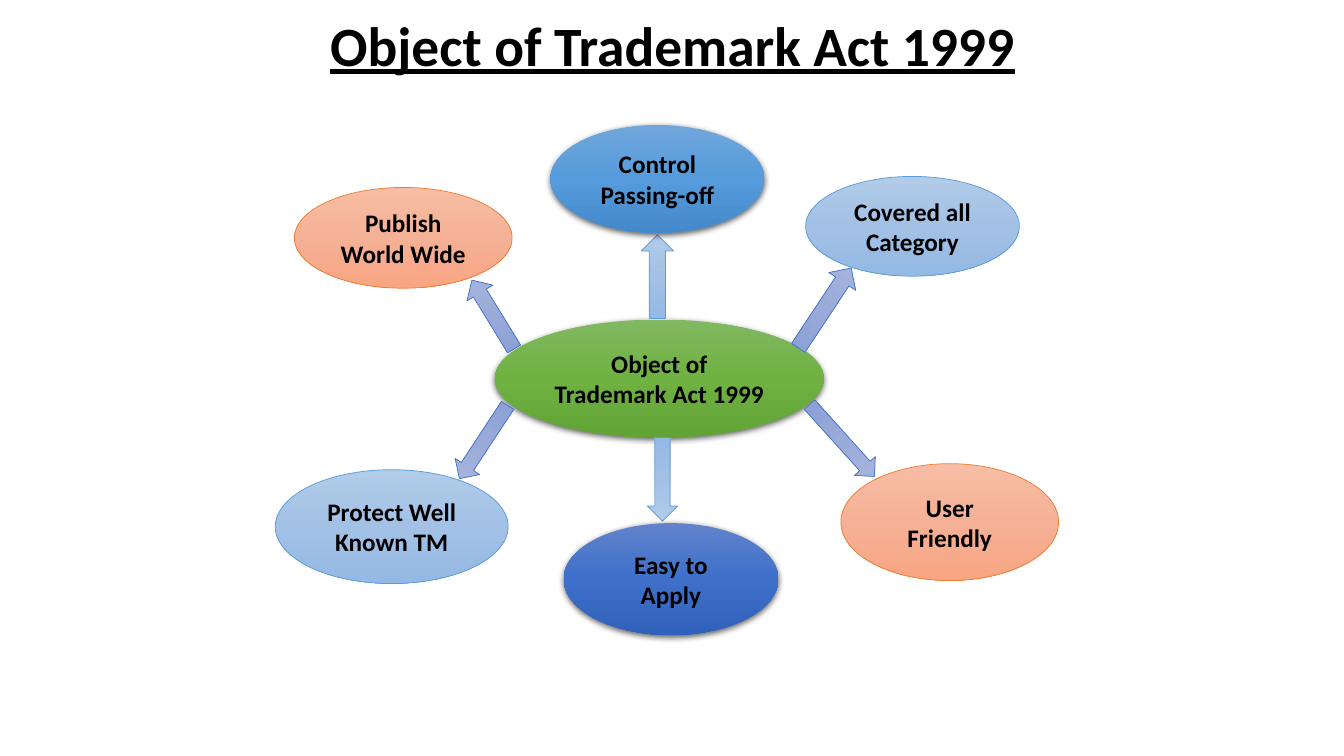
"""Build the slide on the objects of the Trademark Act 1999."""
from copy import deepcopy

from lxml.etree import SubElement
from pptx import Presentation
from pptx.dml.color import RGBColor
from pptx.enum.shapes import MSO_SHAPE
from pptx.enum.text import MSO_ANCHOR, MSO_AUTO_SIZE, PP_ALIGN
from pptx.oxml.ns import qn
from pptx.util import Inches, Pt

BLACK = RGBColor(0x00, 0x00, 0x00)
SKY_LINE = RGBColor(0x5B, 0x9B, 0xD5)
INDIGO_LINE = RGBColor(0x44, 0x72, 0xC4)
ORANGE_LINE = RGBColor(0xED, 0x7D, 0x31)

GREEN = (RGBColor(0x81, 0xB8, 0x61), RGBColor(0x6F, 0xB2, 0x42), RGBColor(0x62, 0xA3, 0x36))
BLUE = (RGBColor(0x71, 0xA6, 0xDB), RGBColor(0x55, 0x9B, 0xDB), RGBColor(0x44, 0x8A, 0xCA))
ROYAL = (RGBColor(0x61, 0x83, 0xCB), RGBColor(0x3E, 0x70, 0xCA), RGBColor(0x30, 0x62, 0xBB))
SKY = (RGBColor(0xB1, 0xCB, 0xE9), RGBColor(0xA3, 0xC1, 0xE5), RGBColor(0x93, 0xB9, 0xE4))
INDIGO = (RGBColor(0xA8, 0xB7, 0xDF), RGBColor(0x9A, 0xAB, 0xD9), RGBColor(0x88, 0x9E, 0xD7))
ORANGE = (RGBColor(0xF7, 0xBD, 0xA5), RGBColor(0xF5, 0xB1, 0x96), RGBColor(0xF8, 0xA5, 0x82))

FONT = "Calibri"

ARROWS = [
    ((6.36, 2.33, 0.32, 0.83), 0, SKY, SKY_LINE),
    ((8.21, 3.89, 0.28, 0.96), 138, INDIGO, INDIGO_LINE),
    ((6.42, 4.34, 0.3, 0.83), 180, SKY, SKY_LINE),
    ((4.74, 2.72, 0.3, 0.8), 328.5, INDIGO, INDIGO_LINE),
    ((4.65, 3.95, 0.29, 0.87), 213.3, INDIGO, INDIGO_LINE),
    ((8.02, 2.58, 0.32, 0.95), 33.5, INDIGO, INDIGO_LINE),
]

CENTRE = ("Object of Trademark Act 1999", (4.91, 3.17, 3.26, 1.17), GREEN, None)
OBJECTS = [
    ("Control Passing-off", (5.46, 1.24, 2.12, 1.07), BLUE, None),
    ("Covered all Category", (7.99, 1.75, 2.12, 0.99), SKY, SKY_LINE),
    ("Publish\nWorld Wide", (2.92, 1.86, 2.16, 1), ORANGE, ORANGE_LINE),
    ("Protect Well Known TM", (2.73, 4.66, 2.31, 1.13), SKY, SKY_LINE),
    ("Easy to Apply", (5.59, 5.19, 2.13, 1.11), ROYAL, None),
    ("User Friendly", (8.34, 4.6, 2.16, 1.16), ORANGE, ORANGE_LINE),
]


def write_text(shape, text, size, underline=None):
    """Fill a shape with bold, centred black text."""
    frame = shape.text_frame
    frame.text = text
    frame.word_wrap = True
    frame.auto_size = MSO_AUTO_SIZE.NONE
    frame.vertical_anchor = MSO_ANCHOR.MIDDLE
    for paragraph in frame.paragraphs:
        paragraph.alignment = PP_ALIGN.CENTER
        for run in paragraph.runs:
            run.font.name = FONT
            run.font.size = Pt(size)
            run.font.bold = True
            run.font.underline = underline
            run.font.color.rgb = BLACK


def fill_gradient(shape, colours):
    """Fill a shape from top to bottom with three evenly spaced colours."""
    shape.fill.gradient()
    shape.fill.gradient_angle = 270
    stop_list = shape._element.spPr.find(qn("a:gradFill")).find(qn("a:gsLst"))
    stop_list.insert(1, deepcopy(stop_list[0]))
    for index, (stop, colour) in enumerate(zip(shape.fill.gradient_stops, colours)):
        stop.position = index / 2
        stop.color.rgb = colour


def add_soft_shadow(shape):
    """Put a soft black shadow just below a shape."""
    effects = shape._element.spPr.find(qn("a:effectLst"))
    shadow = SubElement(effects, qn("a:outerShdw"), blurRad=str(Pt(4.5)), dist=str(Pt(1.5)),
                        dir="5400000", algn="ctr", rotWithShape="0")
    colour = SubElement(shadow, qn("a:srgbClr"), val=str(BLACK))
    SubElement(colour, qn("a:alpha"), val="63000")


def add_gradient_shape(slide, kind, box, colours, line_colour):
    """Add a gradient shape, outlined if it has a line colour and shadowed if not."""
    shape = slide.shapes.add_shape(kind, *map(Inches, box))
    shape.shadow.inherit = False
    fill_gradient(shape, colours)
    if line_colour is None:
        shape.line.fill.background()
        add_soft_shadow(shape)
    else:
        shape.line.color.rgb = line_colour
        shape.line.width = Pt(0.5)
    return shape


def add_bubble(slide, text, box, colours, line_colour):
    """Add a labelled ellipse."""
    bubble = add_gradient_shape(slide, MSO_SHAPE.OVAL, box, colours, line_colour)
    write_text(bubble, text, 18)


def add_arrow(slide, box, rotation, colours, line_colour):
    """Add a block arrow turned clockwise from upright."""
    arrow = add_gradient_shape(slide, MSO_SHAPE.UP_ARROW, box, colours, line_colour)
    arrow.rotation = rotation


def set_title(slide, text):
    """Place and format the slide title."""
    title = slide.shapes.title
    title.left, title.top, title.width, title.height = map(Inches, (0.92, 0.16, 11.5, 0.64))
    write_text(title, text, 39.6, underline=True)
    title.text_frame.paragraphs[0].line_spacing = 0.9


def main():
    """Build and save the presentation."""
    presentation = Presentation()
    presentation.slide_width = Inches(13.33)
    presentation.slide_height = Inches(7.5)
    slide = presentation.slides.add_slide(presentation.slide_layouts[5])
    set_title(slide, "Object of Trademark Act 1999")
    add_bubble(slide, *CENTRE)
    for arrow in ARROWS:
        add_arrow(slide, *arrow)
    for bubble in OBJECTS:
        add_bubble(slide, *bubble)
    presentation.save("out.pptx")


if __name__ == "__main__":
    main()
